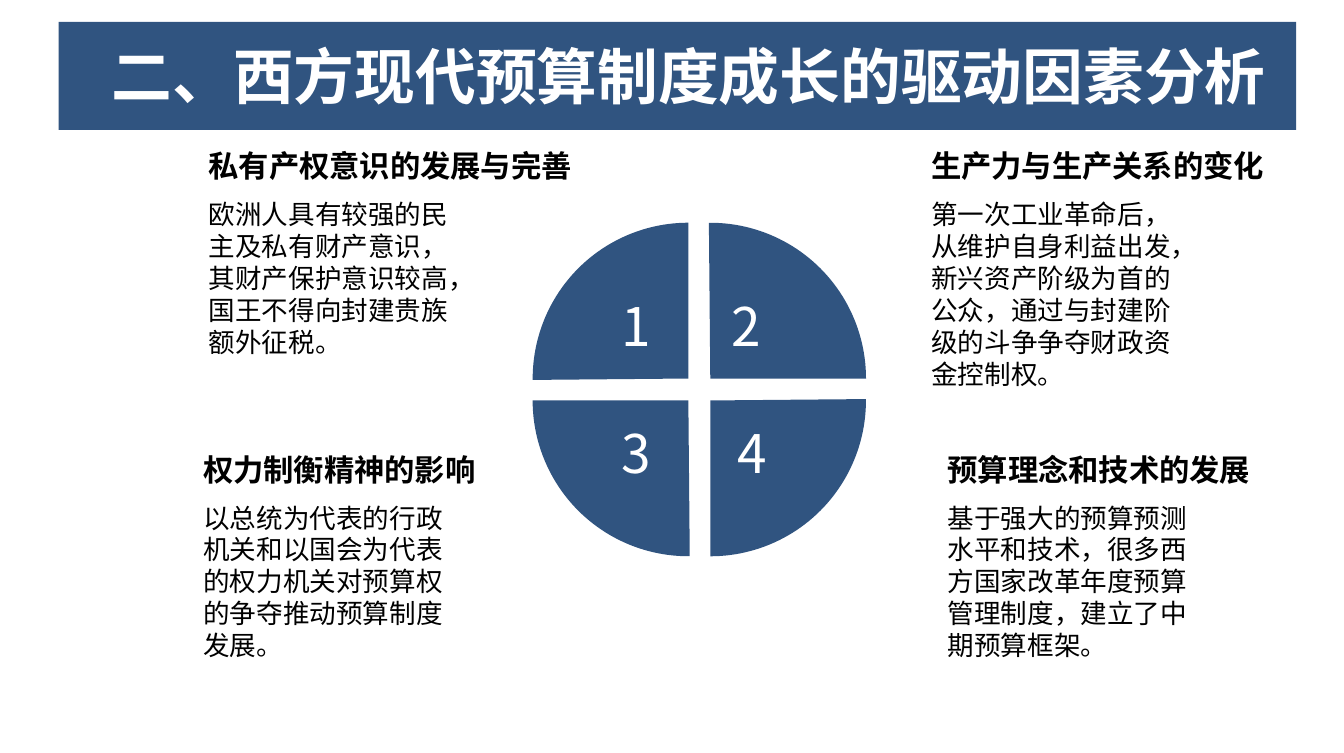
from dataclasses import dataclass
from typing import NamedTuple

from lxml import etree
from pptx import Presentation
from pptx import util as u
from pptx.dml import color
from pptx.enum import shapes, text
from pptx.oxml import ns

PX = 9144


@dataclass(frozen=True)
class Theme:
    blue: str = "305480"
    white: str = "FFFFFF"
    black: str = "000000"
    sans: str = "Noto Sans CJK SC"
    latin: str = "Arial"
    title: int = 32
    digit: int = 28
    head: int = 16
    body: int = 14


class Box(NamedTuple):
    x: int
    y: int
    w: int
    h: int


class Slice(NamedTuple):
    label: str
    x: int
    y: int
    turn: int
    label_x: int
    label_y: int


class Factor(NamedTuple):
    x: int
    y: int
    head: str
    head_w: int
    body: str
    body_h: int


THEME = Theme()
PIE = 228
SLICES = [
    Slice("1", 390, 163, 0, 445, 210),
    Slice("2", 406, 163, 90, 526, 210),
    Slice("4", 406, 179, 180, 530, 303),
    Slice("3", 390, 179, 270, 445, 303),
]
FACTORS = [
    Factor(143, 103, "私有产权意识的发展与完善", 287,
           "欧洲人具有较强的民主及私有财产意识，其财产保护意识较高，国王不得向封建贵族额外征税。", 128),
    Factor(139, 325, "权力制衡精神的影响", 220,
           "以总统为代表的行政机关和以国会为代表的权力机关对预算权的争夺推动预算制度发展。", 128),
    Factor(672, 103, "生产力与生产关系的变化", 264,
           "第一次工业革命后，从维护自身利益出发，新兴资产阶级为首的公众，通过与封建阶级的斗争争夺财政资金控制权。", 151),
    Factor(684, 325, "预算理念和技术的发展", 242,
           "基于强大的预算预测水平和技术，很多西方国家改革年度预算管理制度，建立了中期预算框架。", 128),
]


def scale(box: Box) -> list[u.Emu]:
    return [u.Emu(n * PX) for n in box]


def add_shape(slide, kind: shapes.MSO_SHAPE, box: Box):
    shape = slide.shapes.add_shape(kind, *scale(box))
    shape.shadow.inherit = False
    shape.fill.solid()
    shape.fill.fore_color.rgb = color.RGBColor.from_string(THEME.blue)
    shape.line.fill.background()
    return shape


def add_text(slide, box: Box, words: str, size: int, ink: str,
             bold: bool = False, wrap: bool = False, face: str = THEME.sans):
    frame = slide.shapes.add_textbox(*scale(box)).text_frame
    frame.word_wrap = wrap
    frame.auto_size = text.MSO_AUTO_SIZE.SHAPE_TO_FIT_TEXT
    line = frame.paragraphs[0]
    line.text = words
    font = line.font
    font.size = u.Pt(size)
    font.bold = bold
    font.color.rgb = color.RGBColor.from_string(ink)
    font.name = face
    props = line._p.pPr.find(ns.qn("a:defRPr"))
    etree.SubElement(props, ns.qn("a:ea"), typeface=THEME.sans)
    return frame


def add_slice(slide, part: Slice) -> None:
    pie = add_shape(slide, shapes.MSO_SHAPE.PIE, Box(part.x, part.y, PIE, PIE))
    pie.adjustments[0] = 107.69
    pie.adjustments[1] = 162
    pie.rotation = part.turn


def add_label(slide, part: Slice) -> None:
    add_text(slide, Box(part.label_x, part.label_y, 43, 57),
             part.label, THEME.digit, THEME.white)


def add_factor(slide, item: Factor) -> None:
    add_text(slide, Box(item.x, item.y, item.head_w, 37),
             item.head, THEME.head, THEME.black, bold=True)
    add_text(slide, Box(item.x, item.y + 37, 211, item.body_h),
             item.body, THEME.body, THEME.black, wrap=True)


def add_title(slide) -> None:
    add_shape(slide, shapes.MSO_SHAPE.RECTANGLE, Box(43, 16, 906, 79))
    frame = add_text(slide, Box(20, 24, 969, 61), "二、西方现代预算制度成长的驱动因素分析",
                     THEME.title, THEME.white, bold=True, wrap=True, face=THEME.latin)
    frame.margin_left = frame.margin_right = u.Emu(7 * PX)
    frame.margin_top = frame.margin_bottom = u.Emu(4 * PX)
    frame.paragraphs[0].alignment = text.PP_ALIGN.CENTER


def main() -> None:
    deck = Presentation()
    deck.slide_width, deck.slide_height = u.Emu(984 * PX), u.Emu(551 * PX)
    slide = deck.slides.add_slide(deck.slide_layouts[6])
    for part in SLICES:
        add_slice(slide, part)
    for part in SLICES:
        add_label(slide, part)
    for item in FACTORS:
        add_factor(slide, item)
    add_title(slide)
    deck.save("out.pptx")


if __name__ == "__main__":
    main()
